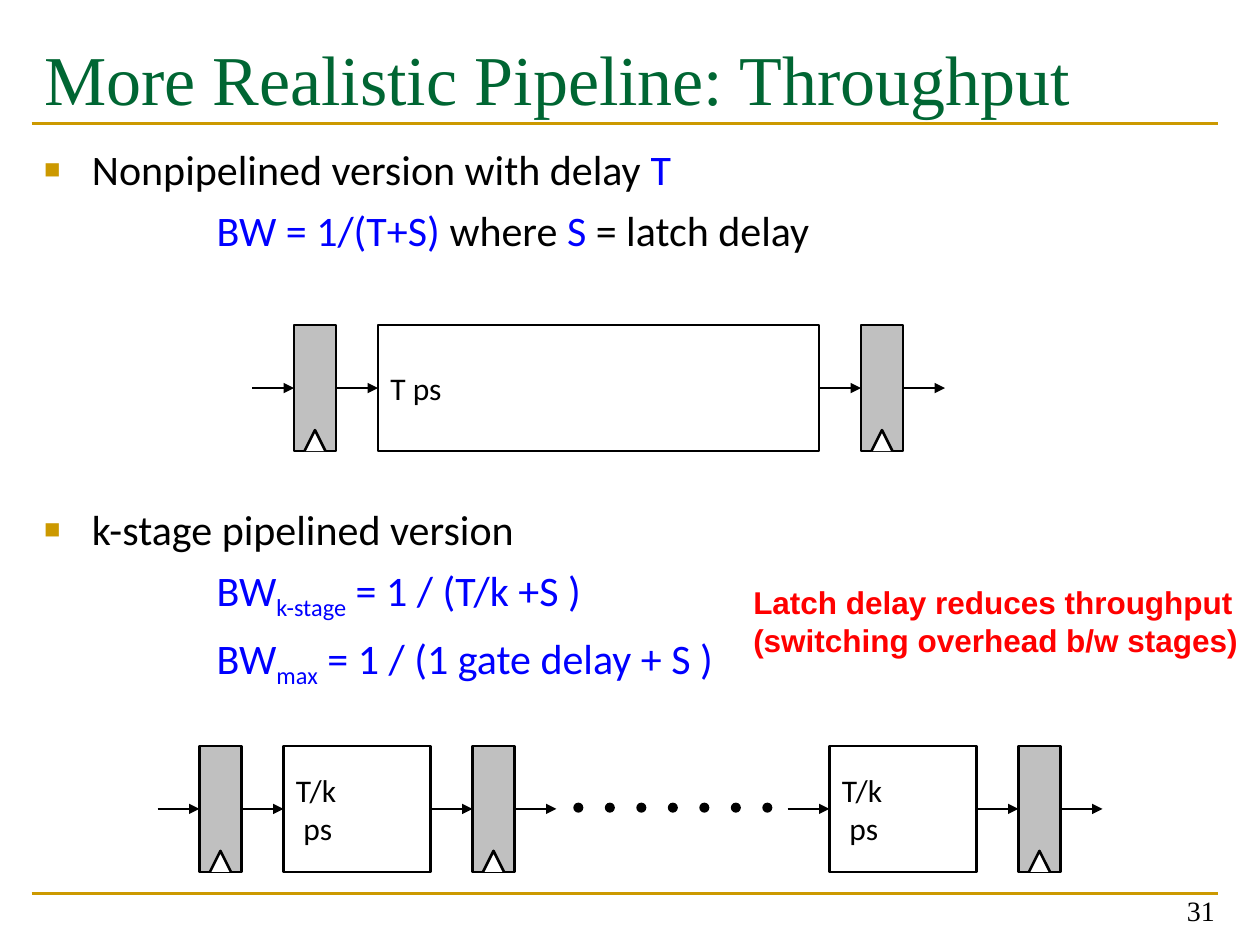
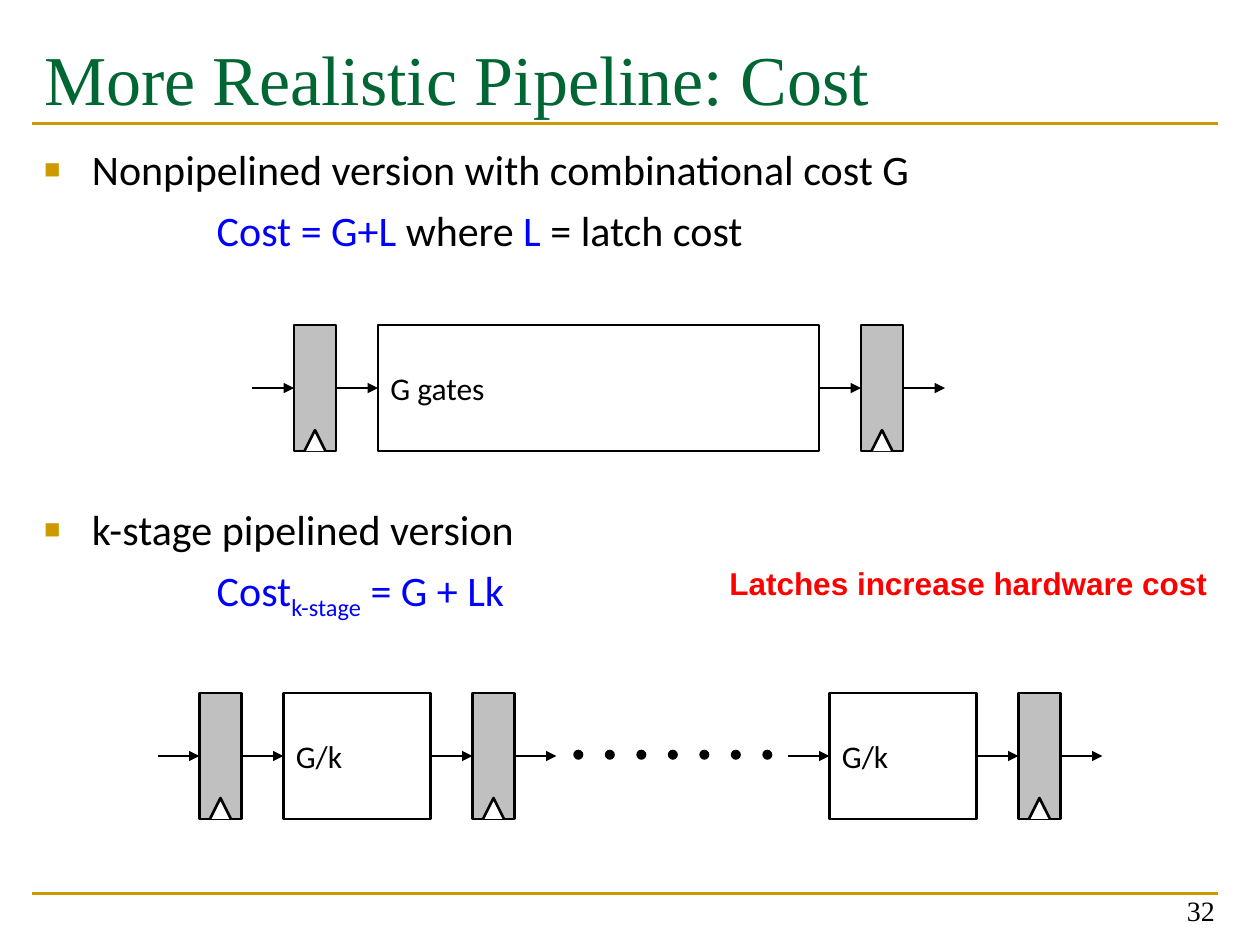
from lxml import etree
from pptx import Presentation
from pptx import util as u
from pptx.dml.color import RGBColor
from pptx.enum import shapes, text
from pptx.oxml.ns import qn

BLACK, WHITE, GREY = "000000", "FFFFFF", "C0C0C0"
GOLD, GREEN, BLUE, RED = "CC9900", "006633", "0000FF", "FF0000"
SERIF, SANS, BOLD = "Times New Roman", "Calibri", "Arial"
STEP = 1 / 3
TALL = 1
LATCH = "latch"
SUB = "sub"


def tint(hue):
    """Return the colour for a hex string."""
    return RGBColor.from_string(hue)


def style(para, face, size, hue, bold=False):
    """Set the font of a whole paragraph."""
    font = para.font
    font.name, font.size, font.bold = face, u.Pt(size), bold
    font.color.rgb = tint(hue)


def indent(para, left, first=0):
    """Set the left margin and first-line indent of a paragraph."""
    props = para._p.get_or_add_pPr()
    props.set("marL", str(u.Inches(left)))
    props.set("indent", str(u.Inches(first)))
    return props


def place(shape, x, y, w, h):
    """Move and size a shape, in inches."""
    shape.left, shape.top = u.Inches(x), u.Inches(y)
    shape.width, shape.height = u.Inches(w), u.Inches(h)


def paint(shape, fill, line=None):
    """Give a shape a plain fill and an outline, without shadow."""
    shape.shadow.inherit = False
    shape.fill.solid()
    shape.fill.fore_color.rgb = tint(fill)
    if line:
        shape.line.color.rgb = tint(line)
        shape.line.width = u.Pt(1.5)
    else:
        shape.line.fill.background()


def form(slide, kind, x, y, w, h, fill, line=None):
    """Add a painted preset shape."""
    shape = slide.shapes.add_shape(kind, *map(u.Inches, (x, y, w, h)))
    paint(shape, fill, line)
    return shape


def rule(slide, x, y, w, hue, head=False):
    """Draw a level line, with an arrowhead at its end if asked."""
    line = slide.shapes.add_connector(
        shapes.MSO_CONNECTOR.STRAIGHT, *map(u.Inches, (x, y, x + w, y)))
    line.line.color.rgb = tint(hue)
    line.line.width = u.Pt(1.5)
    if head:
        etree.SubElement(line.line._get_or_add_ln(), qn("a:tailEnd"), type="triangle")
    etree.SubElement(line._element.spPr, qn("a:effectLst"))


def label(slide, box, lines, face, size, hue, bold=False):
    """Add a text box and return its frame."""
    frame = slide.shapes.add_textbox(*map(u.Inches, box)).text_frame
    frame.text = "\n".join(lines)
    for para in frame.paragraphs:
        style(para, face, size, hue, bold)
    return frame


def latch(slide, x, y):
    """Draw a latch with its clock notch."""
    form(slide, shapes.MSO_SHAPE.RECTANGLE, x, y, STEP, TALL, GREY, BLACK)
    mid, base, half = x + STEP / 2, y + TALL, STEP / 4
    pen = slide.shapes.build_freeform(u.Inches(mid - half), u.Inches(base))
    pen.add_line_segments(
        [(u.Inches(mid), u.Inches(base - 2 * half)),
         (u.Inches(mid + half), u.Inches(base))], close=False)
    paint(pen.convert_to_shape(), WHITE, BLACK)


def block(slide, x, y, w, lines):
    """Draw a logic block with its label."""
    frame = form(slide, shapes.MSO_SHAPE.RECTANGLE, x, y, w, TALL, WHITE, BLACK).text_frame
    frame.text = "\n".join(lines)
    frame.vertical_anchor = text.MSO_ANCHOR.MIDDLE
    for row, para in enumerate(frame.paragraphs):
        para.alignment = text.PP_ALIGN.LEFT
        indent(para, 0.06 * row)
        style(para, SANS, 18, BLACK)


def chain(slide, x, y, parts, wide):
    """Draw latches and blocks in a row, joined by arrows."""
    rule(slide, x, y + TALL / 2, STEP, BLACK, True)
    for part in parts:
        x += STEP
        if part == LATCH:
            latch(slide, x, y)
            x += STEP
        else:
            block(slide, x, y, wide, part)
            x += wide
        rule(slide, x, y + TALL / 2, STEP, BLACK, True)


def staged(slide, x, y, lines):
    """Draw the first and last stage with dots between them."""
    chain(slide, x, y, [LATCH, lines, LATCH], 3.5 * STEP)
    for dot in range(7):
        form(slide, shapes.MSO_SHAPE.OVAL, x + 3.3 + 0.25 * dot, y + 0.45, 0.08, 0.08, BLACK)
    chain(slide, x + 5, y, [lines, LATCH], 3.5 * STEP)


def frame(slide, title, number):
    """Set the title, the two rules and the page number."""
    for y in (0.98, 7.09):
        rule(slide, 0.25, y, 9.42, GOLD)
    head = slide.shapes.title
    place(head, 0.25, 0.17, 9.42, 1.17)
    box = head.text_frame
    box.text = title
    box.margin_top = u.Inches(0.11)
    box.vertical_anchor = text.MSO_ANCHOR.TOP
    box.auto_size = text.MSO_AUTO_SIZE.NONE
    box.paragraphs[0].alignment = text.PP_ALIGN.LEFT
    style(box.paragraphs[0], SERIF, 40, GREEN)
    foot = label(slide, (7.41, 6.91, 2.33, 0.5), [str(number)], SERIF, 16, BLACK)
    foot.word_wrap = True
    foot.vertical_anchor = text.MSO_ANCHOR.BOTTOM
    foot.paragraphs[0].alignment = text.PP_ALIGN.RIGHT


def point(para, runs, bullet):
    """Fill a list line, with a square bullet or as a set-in formula."""
    if bullet:
        props = indent(para, 0.38, -0.38)
        mark = etree.SubElement(props, qn("a:buClr"))
        etree.SubElement(mark, qn("a:srgbClr"), val=GOLD)
        etree.SubElement(props, qn("a:buSzPct"), val="65000")
        etree.SubElement(props, qn("a:buFont"), typeface=BOLD)
        etree.SubElement(props, qn("a:buChar"), char="■")
    else:
        etree.SubElement(indent(para, 1.37), qn("a:buNone"))
    style(para, SANS, 24, BLACK)
    for words, look in runs:
        run = para.add_run()
        run.text = words
        if look:
            run.font.color.rgb = tint(BLUE)
        if look == SUB:
            run._r.get_or_add_rPr().set("baseline", "-25000")


def body(slide, groups):
    """Fill the list with groups of a bullet and its formulas."""
    hold = slide.placeholders[1]
    place(hold, 0.25, 1.09, 9.42, 5.68)
    box = hold.text_frame
    box.auto_size = text.MSO_AUTO_SIZE.NONE
    for part, group in enumerate(groups):
        for row, runs in enumerate(group):
            first = part == row == 0
            para = box.paragraphs[0] if first else box.add_paragraph()
            para.space_before = u.Pt(0 if first else 6 if row else 142)
            point(para, runs, row == 0)


def page(deck, number, title, groups, whole, stage, low, note, spot):
    """Build a slide that compares the plain and the staged pipeline."""
    slide = deck.slides.add_slide(deck.slide_layouts[1])
    frame(slide, title, number)
    body(slide, groups)
    chain(slide, 2, 2.58, [LATCH, [whole], LATCH], 3.5)
    staged(slide, 1.25, low, stage)
    label(slide, spot, note, BOLD, 18, RED, True).word_wrap = False


def main():
    """Build and save the deck."""
    deck = Presentation()
    deck.slide_width, deck.slide_height = u.Inches(10), u.Inches(7.5)
    kind = [("k-stage pipelined version", None)]
    page(deck, 31, "More Realistic Pipeline: Throughput",
         [[[("Nonpipelined version with delay ", None), ("T", BLUE)],
           [("BW = 1/(T+S) ", BLUE), ("where ", None), ("S ", BLUE),
            ("= latch delay", None)]],
          [kind,
           [("BW", BLUE), ("k-stage", SUB), (" = 1 / (T/k +S )", BLUE)],
           [("BW", BLUE), ("max", SUB), (" = 1 / (1 gate delay + S )", BLUE)]]],
         "T ps", ["T/k", "ps"], 5.92,
         ["Latch delay reduces throughput", "(switching overhead b/w stages)"],
         (5.88, 4.58, 4.05, 0.7))
    page(deck, 32, "More Realistic Pipeline: Cost",
         [[[("Nonpipelined version with combinational cost G", None)],
           [("Cost = G+L ", BLUE), ("where ", None), ("L ", BLUE),
            ("= latch cost", None)]],
          [kind,
           [("Cost", BLUE), ("k-stage", SUB), (" = G + Lk", BLUE)]]],
         "G gates", ["G/k"], 5.5,
         ["Latches increase hardware cost"], (5.69, 4.43, 3.99, 0.4))
    deck.save("out.pptx")


if __name__ == "__main__":
    main()
